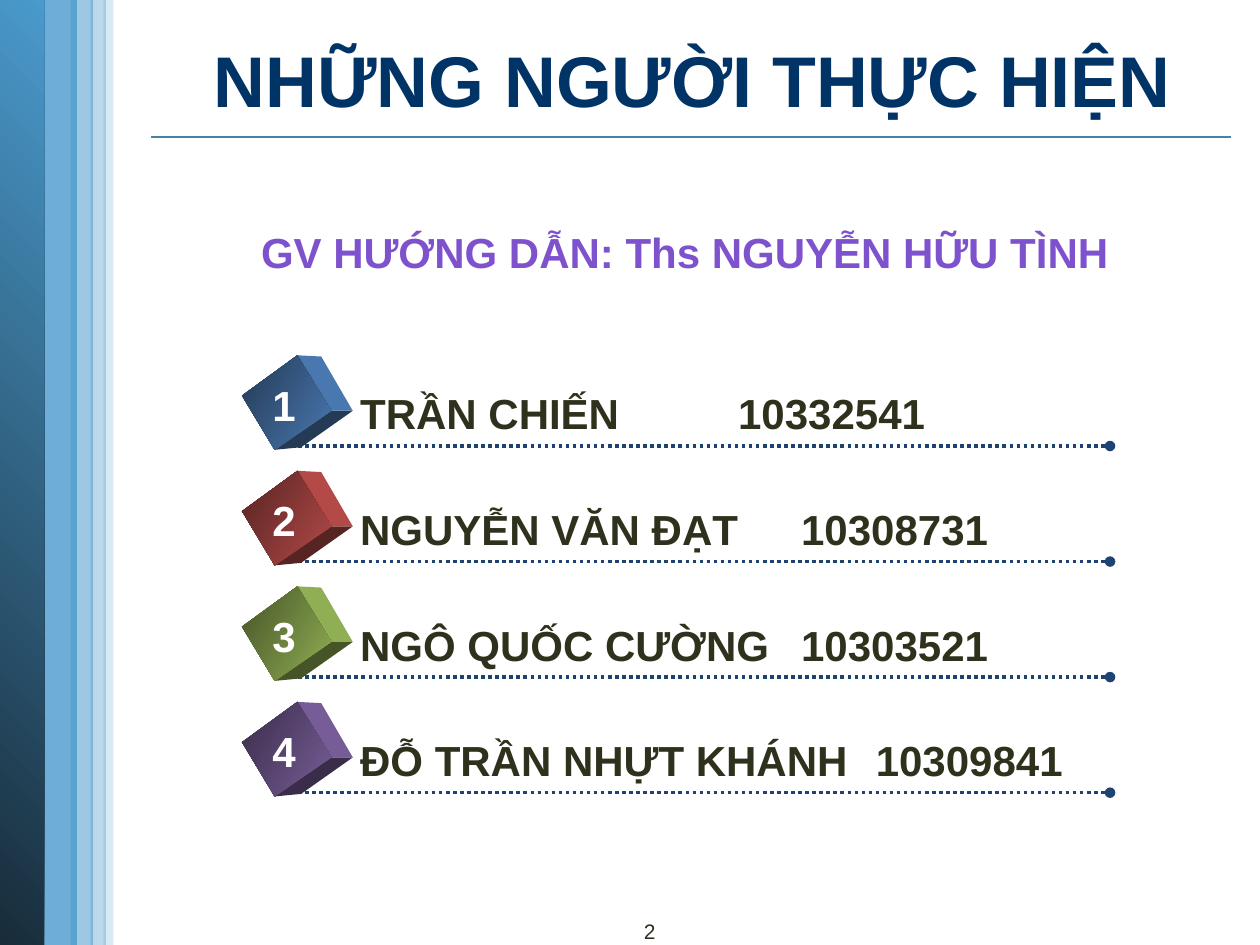
from pptx import Presentation
from pptx.dml.color import RGBColor
from pptx.enum.dml import MSO_LINE
from pptx.enum.shapes import MSO_CONNECTOR, MSO_SHAPE
from pptx.enum.text import MSO_ANCHOR, PP_ALIGN
from pptx.oxml.ns import qn
from pptx.util import Inches, Pt
from lxml.etree import SubElement

FONT = "Arial"
NAVY = RGBColor(0x00, 0x33, 0x66)
INK = RGBColor(0x30, 0x31, 0x1D)
PURPLE = RGBColor(0x7E, 0x52, 0xCC)
WHITE = RGBColor(0xFF, 0xFF, 0xFF)
SKY = RGBColor(0x4A, 0x9A, 0xCC)
DEEP = RGBColor(0x18, 0x2C, 0x3A)
RULE = RGBColor(0x45, 0x82, 0xA7)
DOTS = RGBColor(0x1C, 0x43, 0x72)

# Name, student number and cube colour
MEMBERS = [
    ("TRẦN CHIẾN \t\t10332541", RGBColor(0x4F, 0x81, 0xBD)),
    ("NGUYỄN VĂN ĐẠT \t10308731", RGBColor(0xC0, 0x50, 0x4D)),
    ("NGÔ QUỐC CƯỜNG \t10303521", RGBColor(0x9B, 0xBB, 0x59)),
    ("ĐỖ TRẦN NHỰT KHÁNH \t 10309841", RGBColor(0x80, 0x64, 0xA2)),
]
FIRST_LINE, ROW_STEP = 3.54, 0.917

# Cube faces as (x, height relative to the row's dotted line)
FRONT = [(1.92, -0.4), (2.36, -0.72), (2.63, -0.28), (2.18, 0.03)]
SIDE = [(2.36, -0.72), (2.55, -0.71), (2.8, -0.28), (2.63, -0.28)]
BASE = [(2.63, -0.28), (2.8, -0.28), (2.39, 0.01), (2.18, 0.03)]

# Sidebar strips: left, width, opacity in percent
STRIPS = [(0.3, 0.31, 80), (0.82, 0.08, 20), (0.56, 0.18, 54), (0.72, 0.12, 37)]


def shade(color, factor):
    return RGBColor(*(round(c * factor) for c in color))


def fill_solid(sp, color, opacity=100):
    sp.shadow.inherit = False
    sp.line.fill.background()
    sp.fill.solid()
    sp.fill.fore_color.rgb = color
    if opacity < 100:
        clr = sp.fill._xPr.find(qn("a:solidFill"))[0]
        SubElement(clr, qn("a:alpha"), val=str(opacity * 1000))


def fill_gradient(sp, start, end, angle):
    sp.shadow.inherit = False
    sp.line.fill.background()
    sp.fill.gradient()
    sp.fill.gradient_angle = angle
    for stop, color in zip(sp.fill.gradient_stops, (start, end)):
        stop.color.rgb = color


def format_text(tf, text, size, color, align, bold=True):
    tf.text = text
    p = tf.paragraphs[0]
    p.alignment = align
    for r in p.runs:
        r.font.name = FONT
        r.font.size = Pt(size)
        r.font.bold = bold
        r.font.color.rgb = color


def add_text(s, box, text, size, color, align, bold=True):
    tb = s.shapes.add_textbox(*map(Inches, box))
    tb.text_frame.word_wrap = True
    format_text(tb.text_frame, text, size, color, align, bold)


def add_rect(s, left, width):
    return s.shapes.add_shape(MSO_SHAPE.RECTANGLE, Inches(left), 0,
                              Inches(width), Inches(7.5))


def add_line(s, x1, x2, y, color, width):
    line = s.shapes.add_connector(MSO_CONNECTOR.STRAIGHT, Inches(x1), Inches(y),
                                  Inches(x2), Inches(y))
    line.line.color.rgb = color
    line.line.width = Pt(width)
    SubElement(line._element.spPr, qn("a:effectLst"))
    return line


def add_face(s, points, y):
    corners = [(Inches(x), Inches(y + dy)) for x, dy in points]
    fb = s.shapes.build_freeform(*corners[0])
    fb.add_line_segments(corners[1:], close=True)
    return fb.convert_to_shape()


def add_sidebar(s):
    for left, width, opacity in STRIPS:
        fill_solid(add_rect(s, left, width), SKY, opacity)
    fill_gradient(add_rect(s, 0, 0.35), DEEP, SKY, 45)


def add_member(s, number, text, color, y):
    # Dotted line ending in a dot
    line = add_line(s, 2.31, 8.81, y, DOTS, 2)
    line.line.dash_style = MSO_LINE.ROUND_DOT
    SubElement(line.line._get_or_add_ln(), qn("a:tailEnd"), type="oval")
    # Numbered cube
    fill_solid(add_face(s, BASE, y), shade(color, 0.45))
    fill_solid(add_face(s, SIDE, y), shade(color, 0.93))
    fill_gradient(add_face(s, FRONT, y), shade(color, 0.45), shade(color, 0.93), 330)
    add_text(s, (2.01, y - 0.58, 0.49, 0.5), str(number), 24, WHITE, PP_ALIGN.CENTER)
    # Name and student number, lined up by the default tab stops
    add_text(s, (2.76, y - 0.51, 5.95, 0.5), text, 24, INK, PP_ALIGN.LEFT)


def main():
    prs = Presentation()
    prs.slide_width, prs.slide_height = Inches(10), Inches(7.5)
    s = prs.slides.add_slide(prs.slide_layouts[5])

    # Frame of the slide
    add_line(s, 1.2, 9.77, 1.09, RULE, 1)
    add_sidebar(s)

    # Title
    title = s.shapes.title
    title.left, title.top = Inches(1.15), Inches(0.07)
    title.width, title.height = Inches(8.7), Inches(1.11)
    title.text_frame.vertical_anchor = MSO_ANCHOR.MIDDLE
    format_text(title.text_frame, "NHỮNG NGƯỜI THỰC HIỆN", 41, NAVY, PP_ALIGN.CENTER)

    # Supervisor
    add_text(s, (1.87, 1.75, 7.13, 0.5), "GV HƯỚNG DẪN: Ths NGUYỄN HỮU TÌNH",
             24, PURPLE, PP_ALIGN.CENTER)

    # Members
    for i, (text, color) in enumerate(MEMBERS):
        add_member(s, i + 1, text, color, FIRST_LINE + i * ROW_STEP)

    # Page number
    add_text(s, (4.58, 7.24, 0.72, 0.26), "2", 12, INK, PP_ALIGN.RIGHT, bold=False)

    prs.save("out.pptx")


if __name__ == "__main__":
    main()
